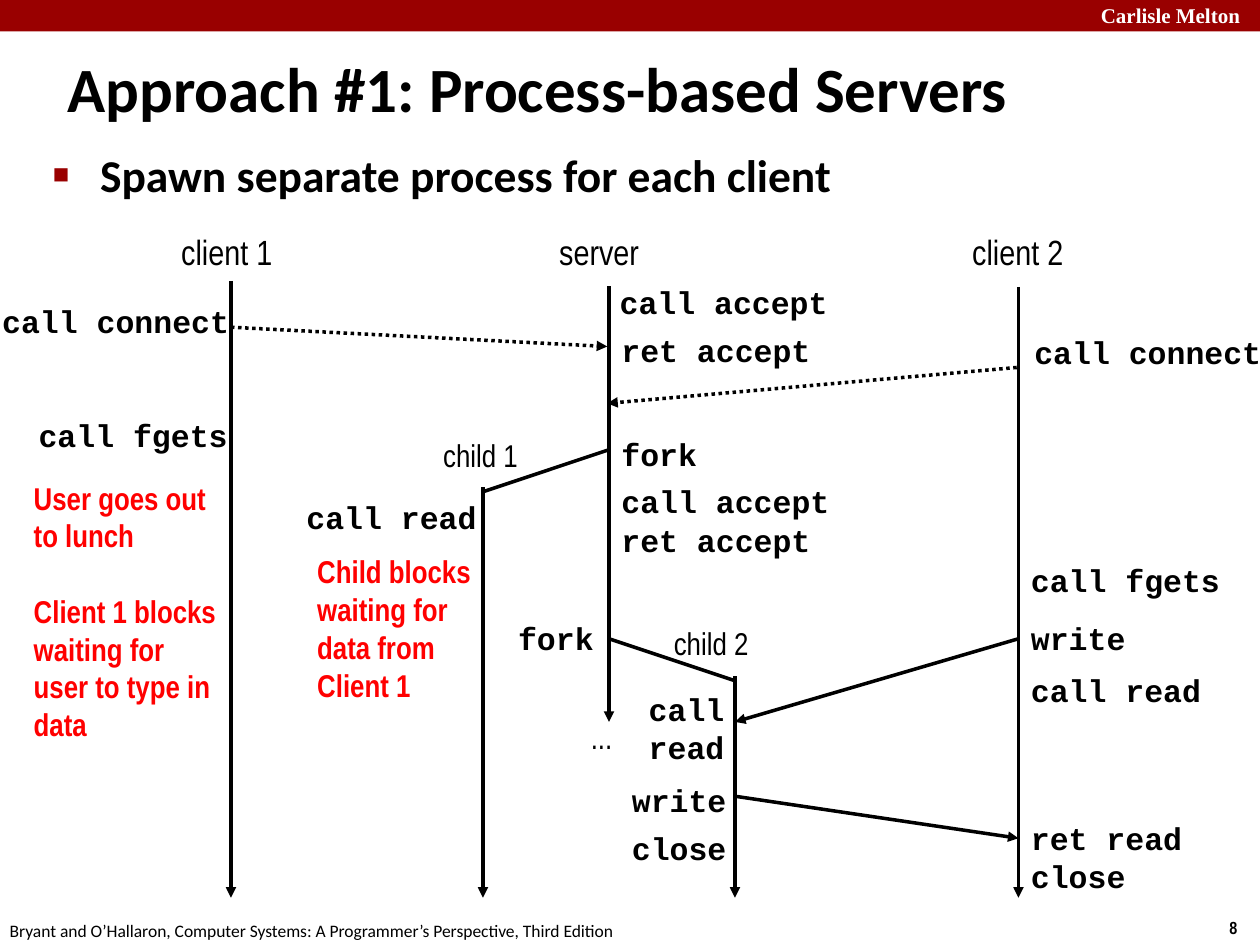
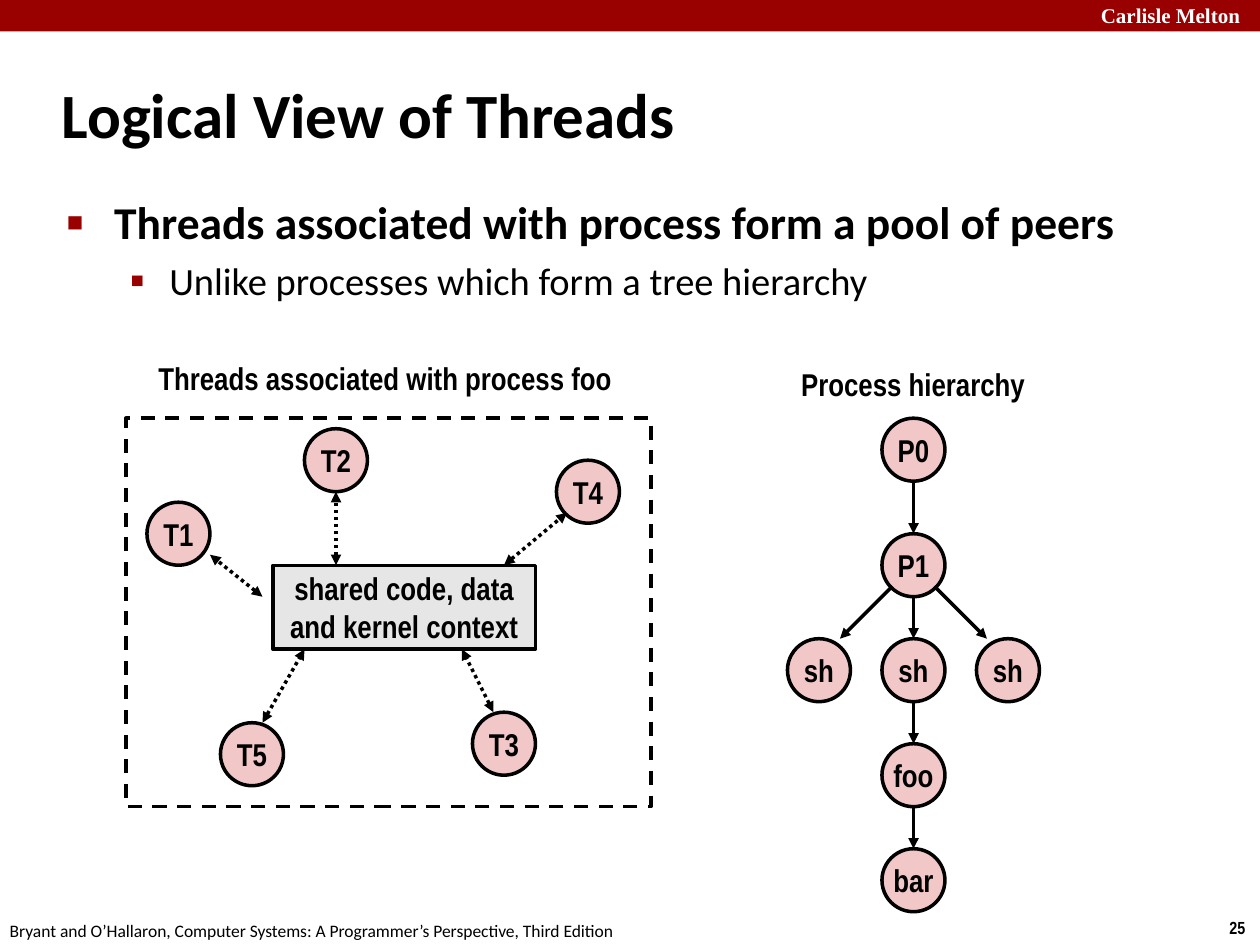
from lxml.etree import SubElement
from pptx import Presentation
from pptx.dml.color import RGBColor
from pptx.enum.dml import MSO_LINE_DASH_STYLE as Dash
from pptx.enum.shapes import MSO_CONNECTOR as Connector, MSO_SHAPE as Preset
from pptx.enum.text import MSO_ANCHOR as Anchor, MSO_AUTO_SIZE as AutoSize, PP_ALIGN as Align
from pptx.oxml.ns import qn
from pptx.util import Pt

COLORS = {"band": "990000", "white": "FFFFFF", "black": "000000", "note": "FF0000",
          "node": "F1C7C7", "core": "E6E6E6"}
SANS, NARROW, MONO, SERIF = "Calibri", "Arial Narrow", "Courier New", "Times New Roman"
MONO_ADVANCE, SIDE_INSETS = 10.8, 14.4
NODE = 36
BULLETS = [("■", 60, 27, 27, 26, True), ("▪", 110, 58.5, 22.5, 22, False)]


def color(name):
    """Return the named palette colour."""
    return RGBColor.from_string(COLORS[name])


def style(paragraph, size, font=NARROW, bold=False, ink="black"):
    """Format every run of a paragraph."""
    for run in paragraph.runs:
        run.font.name, run.font.size, run.font.bold = font, Pt(size), bold
        run.font.color.rgb = color(ink)


def place(shape, box):
    """Move and size a shape to a box of left, top, width and height."""
    shape.left, shape.top, shape.width, shape.height = map(Pt, box)


def add_label(slide, box, text, size=18, font=NARROW, bold=False, ink="black",
              align=Align.LEFT, wrap=False):
    """Add a text box and return its text frame."""
    frame = slide.shapes.add_textbox(*map(Pt, box)).text_frame
    frame.word_wrap = wrap
    frame.text = text
    for paragraph in frame.paragraphs:
        paragraph.alignment = align
        style(paragraph, size, font, bold, ink)
    return frame


def add_box(slide, preset, box, fill=None, line="black", text="", dash=None):
    """Add a preset shape with centred bold text."""
    shape = slide.shapes.add_shape(preset, *map(Pt, box))
    shape.shadow.inherit = False
    if fill:
        shape.fill.solid()
        shape.fill.fore_color.rgb = color(fill)
    else:
        shape.fill.background()
    if line:
        shape.line.color.rgb = color(line)
        shape.line.width = Pt(2)
        if dash:
            shape.line.dash_style = dash
    else:
        shape.line.fill.background()
    frame = shape.text_frame
    frame.word_wrap = False
    frame.vertical_anchor = Anchor.MIDDLE
    if text:
        frame.text = text
    for paragraph in frame.paragraphs:
        paragraph.alignment = Align.CENTER
        style(paragraph, 18, bold=True)


def add_line(slide, origin, start, end, dash=None, ends=("tailEnd",)):
    """Add a straight line relative to an origin, with arrowheads at the given ends."""
    left, top = origin
    points = (left + start[0], top + start[1], left + end[0], top + end[1])
    connector = slide.shapes.add_connector(Connector.STRAIGHT, *map(Pt, points))
    connector.line.color.rgb = color("black")
    connector.line.width = Pt(2)
    if dash:
        connector.line.dash_style = dash
    properties = connector._element.spPr
    for end_name in ends:
        SubElement(properties.find(qn("a:ln")), qn(f"a:{end_name}"), type="triangle")
    SubElement(properties, qn("a:effectLst"))


def add_node(slide, origin, corner, text):
    """Add a labelled circle whose corner is relative to an origin."""
    box = (origin[0] + corner[0], origin[1] + corner[1], NODE, NODE)
    add_box(slide, Preset.OVAL, box, "node", text=text)


def add_frame(slide, number):
    """Add the top band, the footer and the page number."""
    add_box(slide, Preset.RECTANGLE, (0, 0, 720, 18), "band", None)
    add_label(slide, (622, -2, 103, 21.6), "Carlisle Melton", 12, SERIF, True, "white", wrap=True)
    add_label(slide, (695.5, 520.5, 24.5, 19.4), str(number), 10, bold=True)
    add_label(slide, (-1.5, 522, 366, 19.4),
              "Bryant and O’Hallaron, Computer Systems: A Programmer’s Perspective, Third Edition",
              10, SANS)


def fill_title(slide, box, text):
    """Place and format the title placeholder."""
    title = slide.shapes.title
    place(title, box)
    frame = title.text_frame
    frame.text = text
    frame.auto_size = AutoSize.NONE
    frame.vertical_anchor = Anchor.MIDDLE
    frame.paragraphs[0].alignment = Align.LEFT
    style(frame.paragraphs[0], 36, SANS, True)


def fill_body(slide, box, items):
    """Place the body placeholder and fill it with one bullet per level."""
    body = slide.placeholders[1]
    place(body, box)
    frame = body.text_frame
    frame.text = "\n".join(items)
    frame.auto_size = AutoSize.NONE
    for level, paragraph in enumerate(frame.paragraphs):
        mark, percent, margin, hanging, size, bold = BULLETS[level]
        paragraph.level = level
        style(paragraph, size, SANS, bold)
        properties = paragraph._p.get_or_add_pPr()
        properties.set("marL", str(Pt(margin)))
        properties.set("indent", str(-Pt(hanging)))
        bullet_color = SubElement(properties, qn("a:buClr"))
        SubElement(bullet_color, qn("a:srgbClr"), val=COLORS["band"])
        SubElement(properties, qn("a:buSzPct"), val=str(percent * 1000))
        SubElement(properties, qn("a:buChar"), char=mark)


def add_slide(presentation, number, title, title_box, items, body_box):
    """Add a slide with title, bullets and the shared frame."""
    slide = presentation.slides.add_slide(presentation.slide_layouts[1])
    fill_title(slide, title_box, title)
    fill_body(slide, body_box, items)
    add_frame(slide, number)
    return slide


def draw_timeline(slide, origin):
    """Draw the lifelines, messages, calls and notes of the server exchange."""
    left, top = origin
    client1, child1, server, child2, client2 = 132, 276, 348, 420, 582
    bottom = 393
    lifelines = [(client1, 40.5, bottom), (server, 43.5, 292.5), (client2, 44, bottom),
                 (child1, 158.5, bottom), (child2, 266.5, bottom)]
    for x, start, end in lifelines:
        add_line(slide, origin, (x, start), (x, end))

    add_line(slide, origin, (client1, 67), (server - 1, 78), Dash.ROUND_DOT)
    add_line(slide, origin, (client2 - 1, 90), (server - 1, 110.5), Dash.ROUND_DOT)
    add_line(slide, origin, (client2, 245), (child2, 292.5))
    add_line(slide, origin, (child2, 335), (client2, 359))
    add_line(slide, origin, (server, 137), (child1, 161), ends=())
    add_line(slide, origin, (server, 245), (child2, 269), ends=())

    names = [(96.5, 8, 67, "client 1", 20), (312.5, 8, 60.5, "server", 20),
             (548.5, 8, 67, "client 2", 20), (246.2, 125.5, 66, "child 1", 18),
             (378, 233, 66, "child 2", 18), (330.5, 287, 29.5, "...", 18)]
    for x, y, width, text, size in names:
        add_label(slide, (left + x, top + y, width, size * 1.6), text, size)

    calls = [(-5.8, 49, "call connect"), (15, 114, "call fgets"),
             (168, 161, "call read"),
             (server - 1, 38.4, "call accept"), (server, 65.8, "ret accept"),
             (server, 125, "fork"), (server, 152, "call accept"), (server, 174, "ret accept"),
             (289, 230, "fork"),
             (363.6, 271, "call \nread"), (354, 323, "write"), (354, 350, "close"),
             (client2 + 2, 67, "call connect"), (client2, 197, "call fgets"),
             (client2, 230, "write"), (client2, 260, "call read"),
             (client2, 344.4, "ret read"), (client2, 366, "close")]
    for x, y, text in calls:
        lines = text.split("\n")
        width = MONO_ADVANCE * max(map(len, lines)) + SIDE_INSETS
        height = 22 * len(lines) + 7
        add_label(slide, (left + x, top + y, width, height), text, 18, MONO, True)

    lunch = add_label(slide, (left + 12.2, top + 150, 120, 160),
                      "User goes out to lunch\nClient 1 blocks\nwaiting for user to type in data",
                      bold=True, ink="note", wrap=True)
    lunch.paragraphs[1].space_before = Pt(21.5)
    add_label(slide, (left + 174.2, top + 192, 120, 94),
              "Child blocks waiting for data from Client 1", bold=True, ink="note", wrap=True)


def draw_thread_pool(slide, box):
    """Draw the peer threads around their shared context."""
    left, top, width, _ = box
    origin = (left, top)
    add_label(slide, (left - 17.5, top - 37.4, width + 31.2, 29),
              "Threads associated with process foo", bold=True, align=Align.CENTER)
    add_box(slide, Preset.RECTANGLE, box, dash=Dash.DASH)
    threads = {"T1": (12, 48), "T2": (102, 6), "T3": (198, 168), "T4": (246, 24), "T5": (54, 174)}
    for name, corner in threads.items():
        add_node(slide, origin, corner, name)
    add_box(slide, Preset.RECTANGLE, (left + 84, top + 84, 150, 48), "core",
            text="shared code, data\nand kernel context")
    links = [((78, 174), (102, 132)), ((210, 168), (192, 132)), ((78, 102), (48, 78)),
             ((120, 84), (120, 42)), ((216, 84), (252, 54))]
    for start, end in links:
        add_line(slide, origin, start, end, Dash.ROUND_DOT, ("headEnd", "tailEnd"))


def draw_process_tree(slide, box):
    """Draw the process hierarchy as a centred chain with two side branches."""
    left, top, width, _ = box
    origin = (left, top)
    middle = width / 2
    add_label(slide, (left - 13.5, top - 33.8, width + 26.5, 29), "Process hierarchy",
              bold=True, align=Align.CENTER)
    chain = {"P0": 0, "P1": 66, "sh": 126, "foo": 186, "bar": 246}
    for name, y in chain.items():
        add_node(slide, origin, (middle - NODE / 2, y), name)
    rows = list(chain.values())
    for upper, lower in zip(rows, rows[1:]):
        add_line(slide, origin, (middle, upper + NODE), (middle, lower))
    for side in (-1, 1):
        add_node(slide, origin, (middle + side * 54 - NODE / 2, chain["sh"]), "sh")
        add_line(slide, origin, (middle + side * 12, 96), (middle + side * 42, 126))


def main():
    """Build and save the presentation."""
    presentation = Presentation()
    presentation.slide_width, presentation.slide_height = Pt(720), Pt(540)

    servers = add_slide(presentation, 8, "Approach #1: Process-based Servers",
                        (31.5, 19.5, 687, 61), ["Spawn separate process for each client"],
                        (23, 80.5, 697, 426))
    draw_timeline(servers, (0, 120))

    threads = add_slide(presentation, 25, "Logical View of Threads", (28, 34.5, 597.5, 60),
                        ["Threads associated with process form a pool of peers",
                         "Unlike processes which form a tree hierarchy"],
                        (31, 107.5, 622, 391.5))
    draw_thread_pool(threads, (72, 239, 300, 222))
    draw_process_tree(threads, (450, 239, 144, 282))
    presentation.save("out.pptx")


main()
